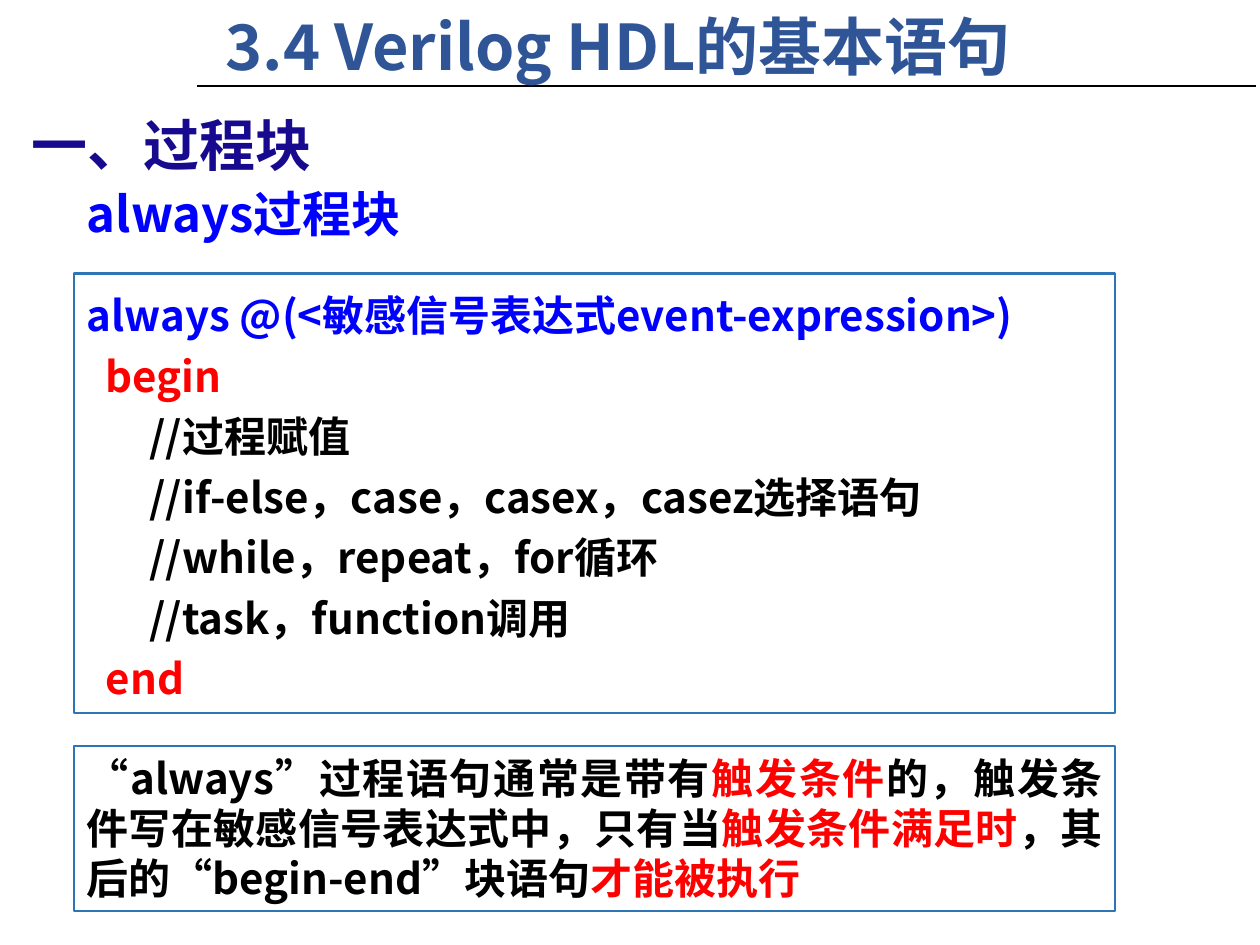
import pptx
import pptx.util
import pptx.dml.color
import pptx.enum.shapes
import pptx.enum.text
import pptx.oxml.ns
import lxml.etree

RGBColor = pptx.dml.color.RGBColor
BLACK = RGBColor(0x00, 0x00, 0x00)
RED = RGBColor(0xFF, 0x00, 0x00)
BLUE = RGBColor(0x00, 0x00, 0xFF)
NAVY = RGBColor(0x17, 0x0A, 0x8E)
TITLE_BLUE = RGBColor(0x2F, 0x55, 0x97)
BORDER_BLUE = RGBColor(0x2E, 0x75, 0xB6)

# The slide is a grid of 100 columns by 75 rows
COLUMNS, ROWS = 100, 75
BOX_LEFT, BOX_WIDTH = 5.9, 82.6


class SlideBuilder:
    font_name = "Noto Sans CJK SC"
    line_width = pptx.util.Pt(1.25)

    def __init__(self, deck):
        self.deck = deck
        self.slide = deck.slides.add_slide(deck.slide_layouts[6])

    def across(self, columns):
        return round(self.deck.slide_width * columns / COLUMNS)

    def down(self, rows):
        return round(self.deck.slide_height * rows / ROWS)

    def place(self, left, top, width, height):
        return (self.across(left), self.down(top),
                self.across(width), self.down(height))

    def fill_text(self, shape, paragraphs, size, **layout):
        """Each paragraph is a list of (text, colour) runs."""
        frame = shape.text_frame
        frame.word_wrap = True
        frame.auto_size = pptx.enum.text.MSO_AUTO_SIZE.SHAPE_TO_FIT_TEXT
        frame.vertical_anchor = pptx.enum.text.MSO_ANCHOR.TOP
        for index, runs in enumerate(paragraphs):
            para = frame.add_paragraph() if index else frame.paragraphs[0]
            para.alignment = layout.get("align", pptx.enum.text.PP_ALIGN.LEFT)
            para.line_spacing = layout.get("spacing", 1.0)
            for text, color in runs:
                span = para.add_run()
                span.text = text
                span.font.size = pptx.util.Pt(size)
                span.font.bold = True
                span.font.name = self.font_name
                span.font.color.rgb = color
                # East Asian characters take their font from a separate element
                lxml.etree.SubElement(span.font._element, pptx.oxml.ns.qn("a:ea"),
                                      typeface=self.font_name)

    def heading(self, text, color, size, *area):
        box = self.slide.shapes.add_textbox(*self.place(*area))
        self.fill_text(box, [[(text, color)]], size)

    def framed_box(self, paragraphs, top, height, spacing=1.0):
        box = self.slide.shapes.add_shape(
            pptx.enum.shapes.MSO_SHAPE.RECTANGLE,
            *self.place(BOX_LEFT, top, BOX_WIDTH, height))
        box.shadow.inherit = False
        box.fill.background()
        box.line.color.rgb = BORDER_BLUE
        box.line.width = self.line_width
        self.fill_text(box, paragraphs, 24, spacing=spacing,
                       align=pptx.enum.text.PP_ALIGN.JUSTIFY)

    def rule(self, left, right, row):
        line = self.slide.shapes.add_connector(
            pptx.enum.shapes.MSO_CONNECTOR.STRAIGHT,
            self.across(left), self.down(row), self.across(right), self.down(row))
        line.line.color.rgb = BLACK
        line.line.width = self.line_width
        lxml.etree.SubElement(line._element.spPr, pptx.oxml.ns.qn("a:effectLst"))


def main():
    deck = pptx.Presentation()
    deck.slide_width = pptx.util.Inches(10)
    deck.slide_height = pptx.util.Inches(7.5)
    page = SlideBuilder(deck)

    # Title and section headings
    page.rule(15.6, 99.7, 6.8)
    page.heading("3.4 Verilog HDL的基本语句", TITLE_BLUE, 36, 16.9, 0.1, 78.9, 7.1)
    page.heading("一、过程块", NAVY, 32, 1.5, 8.3, 48.7, 6.4)
    page.heading("always过程块", BLUE, 28, BOX_LEFT, 14.1, 35.9, 5.7)

    # Syntax of the always block
    code = [
        ("always @(<敏感信号表达式event-expression>)", BLUE),
        ("  begin", RED),
        ("\t//过程赋值", BLACK),
        ("\t//if-else，case，casex，casez选择语句", BLACK),
        ("\t//while，repeat，for循环", BLACK),
        ("\t//task，function调用", BLACK),
        ("  end", RED),
    ]
    page.framed_box([[line] for line in code], 21.7, 34.9, spacing=1.2)

    # Explanation with the key phrases in red
    explanation = [
        ("“always”过程语句通常是带有", BLACK),
        ("触发条件", RED),
        ("的，触发条件写在敏感信号表达式中，只有当", BLACK),
        ("触发条件满足时", RED),
        ("，其后的“begin-end”块语句", BLACK),
        ("才能被执行", RED),
    ]
    page.framed_box([explanation], 59.2, 13.1)

    deck.save("out.pptx")


if __name__ == "__main__":
    main()
